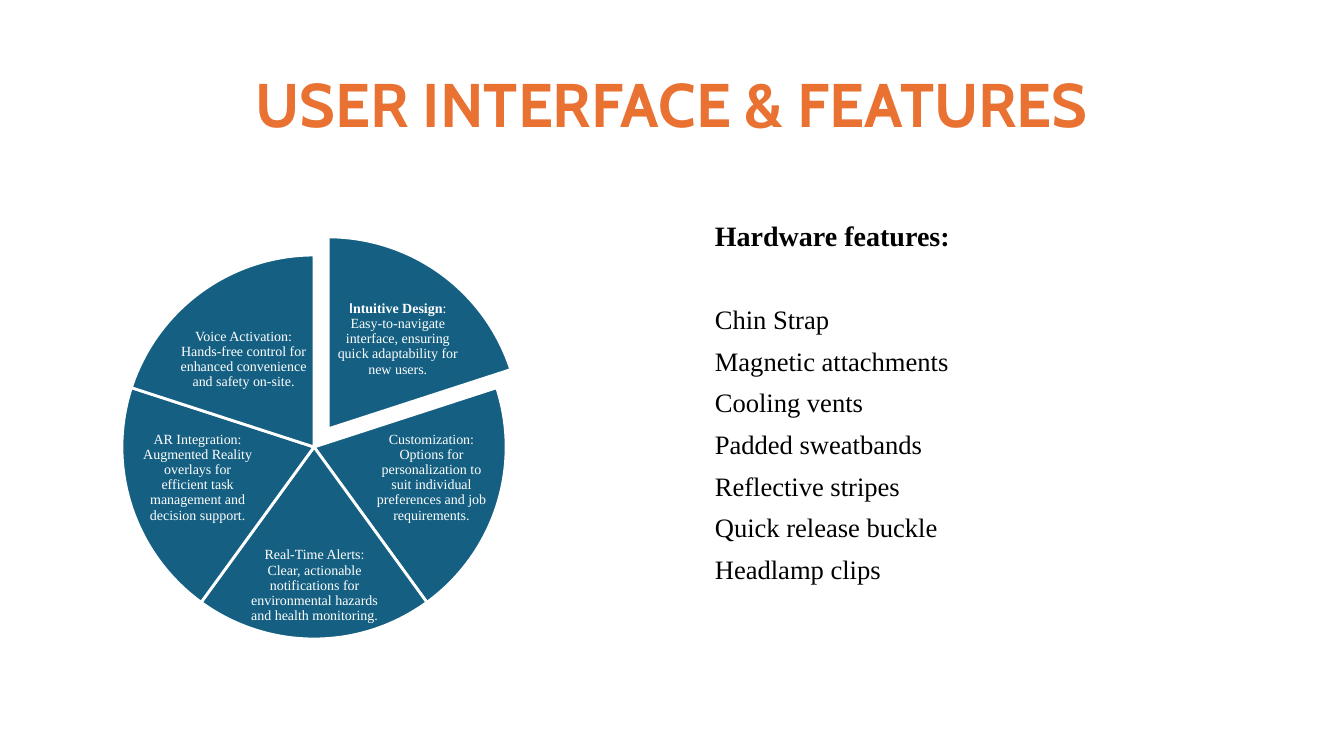
import pptx
import pptx.dml.color
import pptx.enum.shapes
import pptx.enum.text
import pptx.util
from lxml import etree
from pptx.util import Inches

# Colours and fonts
ORANGE = pptx.dml.color.RGBColor(0xE9, 0x71, 0x32)
TEAL = pptx.dml.color.RGBColor(0x15, 0x60, 0x82)
WHITE = pptx.dml.color.RGBColor(0xFF, 0xFF, 0xFF)
BLACK = pptx.dml.color.RGBColor(0x00, 0x00, 0x00)
SANS = "Cabin"
SERIF = "Times New Roman"

Pt = pptx.util.Pt
CENTER = pptx.enum.text.PP_ALIGN.CENTER
LEFT = pptx.enum.text.PP_ALIGN.LEFT
MIDDLE = pptx.enum.text.MSO_ANCHOR.MIDDLE
TOP = pptx.enum.text.MSO_ANCHOR.TOP
NO_FIT = pptx.enum.text.MSO_AUTO_SIZE.NONE

# Pie: adjustments count a full turn as 216, starting at three o'clock
PIE_LEFT, PIE_TOP, PIE_SIZE = 1.21, 2.53, 3.81
PULL_X, PULL_Y = 0.14, -0.18
FULL_TURN, FIRST_ANGLE = 216, 162

# Each slice: label box (left, top, width, height) and its (text, font, bold) runs
SLICES = [
    ((3.3, 2.92, 1.29, 0.89), [
        ("I", SANS, True),
        ("ntuitive Design", SERIF, True),
        (": Easy-to-navigate interface, ensuring quick adaptability for new users.", SERIF, False)]),
    ((3.71, 4.26, 1.14, 0.96), [
        ("Customization: Options for personalization to suit individual "
         "preferences and job requirements.", SERIF, False)]),
    ((2.44, 5.4, 1.36, 0.82), [
        ("Real-Time Alerts: Clear, actionable notifications for environmental "
         "hazards and health monitoring.", SERIF, False)]),
    ((1.39, 4.26, 1.14, 0.96), [
        ("AR Integration: Augmented Reality overlays for efficient task "
         "management and decision support.", SERIF, False)]),
    ((1.77, 3.12, 1.29, 0.89), [
        ("Voice Activation: Hands-free control for enhanced convenience "
         "and safety on-site.", SERIF, False)]),
]

HARDWARE = ["Chin Strap", "Magnetic attachments", "Cooling vents", "Padded sweatbands",
            "Reflective stripes", "Quick release buckle", "Headlamp clips"]


def apply(target, values):
    for name, value in values.items():
        setattr(target, name, value)


def place(box, left, top, width, height):
    apply(box, {"left": Inches(left), "top": Inches(top),
                "width": Inches(width), "height": Inches(height)})


def add_span(para, text, color, **font_values):
    span = para.add_run()
    span.text = text
    apply(span.font, font_values)
    span.font.color.rgb = color


def remove_bullet(para):
    properties = para._p.get_or_add_pPr()
    properties.set("marL", "0")
    properties.set("indent", "0")
    etree.SubElement(properties, pptx.oxml.ns.qn("a:buNone"))


def fill_title(page):
    box = page.shapes.title
    place(box, 0.3, 0.35, 12.73, 1.43)
    apply(box.text_frame, {"vertical_anchor": MIDDLE, "word_wrap": True, "auto_size": NO_FIT})
    para = box.text_frame.paragraphs[0]
    apply(para, {"alignment": CENTER, "line_spacing": 0.9})
    add_span(para, "USER INTERFACE & FEATURES", ORANGE, name=SANS, size=Pt(44), bold=True)


def fill_hardware_list(page):
    box = page.placeholders[1]
    place(box, 6.99, 2.12, 5.43, 4.56)
    frame = box.text_frame
    apply(frame, {"vertical_anchor": TOP, "word_wrap": True, "auto_size": NO_FIT})
    for index, text in enumerate(["Hardware features:"] + HARDWARE):
        heading = index == 0
        para = frame.paragraphs[0] if heading else frame.add_paragraph()
        apply(para, {"alignment": LEFT, "space_before": Pt(1),
                     "space_after": Pt(35 if heading else 6)})
        remove_bullet(para)
        add_span(para, text, BLACK, name=SERIF, size=Pt(20 if heading else 19), bold=heading)


def add_slice(page, left, top, start, end):
    wedge = page.shapes.add_shape(pptx.enum.shapes.MSO_SHAPE.PIE, Inches(left), Inches(top),
                                  Inches(PIE_SIZE), Inches(PIE_SIZE))
    wedge.adjustments[0] = start
    wedge.adjustments[1] = end
    wedge.shadow.inherit = False
    wedge.fill.solid()
    wedge.fill.fore_color.rgb = TEAL
    wedge.line.color.rgb = WHITE
    wedge.line.width = Pt(2)


def add_label(page, area, spans):
    box = page.shapes.add_textbox(*map(Inches, area))
    margin = Inches(0.01)
    apply(box.text_frame, {"word_wrap": True, "vertical_anchor": MIDDLE,
                           "margin_left": margin, "margin_right": margin,
                           "margin_top": margin, "margin_bottom": margin})
    para = box.text_frame.paragraphs[0]
    apply(para, {"alignment": CENTER, "line_spacing": 0.9})
    for text, font_name, bold in spans:
        add_span(para, text, WHITE, name=font_name, size=Pt(10), bold=bold)


def add_feature_pie(page):
    step = FULL_TURN / len(SLICES)
    for index, (area, spans) in enumerate(SLICES):
        start = (FIRST_ANGLE + index * step) % FULL_TURN
        end = (start + step) % FULL_TURN
        # The first slice is pulled out of the pie
        pulled = index == 0
        add_slice(page, PIE_LEFT + pulled * PULL_X, PIE_TOP + pulled * PULL_Y, start, end)
        add_label(page, area, spans)


def main():
    deck = pptx.Presentation()
    apply(deck, {"slide_width": Inches(13.33), "slide_height": Inches(7.5)})
    page = deck.slides.add_slide(deck.slide_layouts[1])
    fill_title(page)
    fill_hardware_list(page)
    add_feature_pie(page)
    deck.save("out.pptx")


if __name__ == "__main__":
    main()
